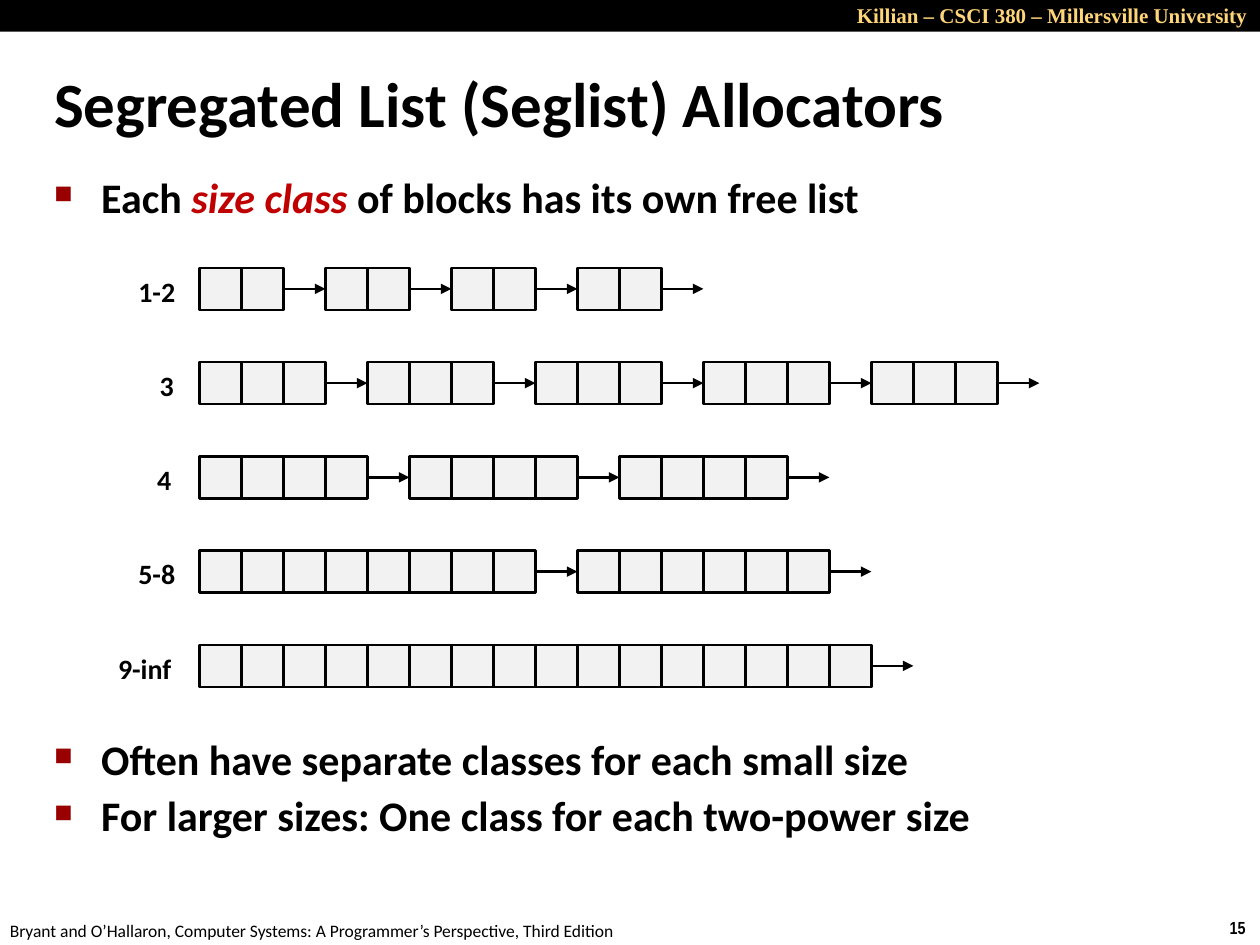
import pptx
import pptx.dml.color
import pptx.enum.shapes
import pptx.enum.text
import pptx.oxml
import pptx.oxml.ns
import pptx.util

Cm = pptx.util.Cm
Pt = pptx.util.Pt
RGBColor = pptx.dml.color.RGBColor
ALIGN = pptx.enum.text.PP_ALIGN
ANCHOR = pptx.enum.text.MSO_ANCHOR

BLACK = RGBColor(0x00, 0x00, 0x00)
GOLD = RGBColor(0xFF, 0xD5, 0x79)
RED = RGBColor(0xC0, 0x00, 0x00)
DARK_RED = RGBColor(0x99, 0x00, 0x00)
LIGHT_GRAY = RGBColor(0xF2, 0xF2, 0xF2)

CELL = Cm(2.54) // 3
LIST_LEFT = Cm(4.02)
LIST_TOP = Cm(5.4)
ROW_PITCH = Cm(1.9)

# Size class, label left and width in cm, cells in each free block
SIZE_CLASSES = [
    ("1-2", 2.54, 1.27, [2] * 4),
    ("3", 2.97, 0.81, [3] * 5),
    ("4", 2.92, 0.81, [4] * 3),
    ("5-8", 2.54, 1.27, [8, 6]),
    ("9-inf", 2.13, 1.6, [16]),
]


def add_xml(parent, tag, attributes=""):
    ns = pptx.oxml.ns.nsdecls("a")
    parent.append(pptx.oxml.parse_xml(f"<a:{tag} {ns} {attributes}/>"))


def format_run(r, size, font="Calibri", color=BLACK, bold=True):
    r.font.size = Pt(size)
    r.font.name = font
    r.font.color.rgb = color
    r.font.bold = bold


def add_text(s, left, top, width, height, text, size, wrap=False,
             align=ALIGN.LEFT, anchor=ANCHOR.TOP, **style):
    sp = s.shapes.add_textbox(left, top, width, height)
    tf = sp.text_frame
    tf.word_wrap = wrap
    tf.vertical_anchor = anchor
    tf.text = text
    p = tf.paragraphs[0]
    p.alignment = align
    format_run(p.runs[0], size, **style)
    return p


def add_rect(s, left, top, width, height, fill):
    sp = s.shapes.add_shape(pptx.enum.shapes.MSO_SHAPE.RECTANGLE,
                            left, top, width, height)
    sp.shadow.inherit = False
    sp.fill.solid()
    sp.fill.fore_color.rgb = fill
    sp.line.color.rgb = BLACK
    sp.line.width = Pt(1.5)
    return sp


def add_arrow(s, start, end=None):
    y = start.top + CELL // 2
    x = start.left + CELL
    arrow = s.shapes.add_connector(
        pptx.enum.shapes.MSO_CONNECTOR.STRAIGHT, x, y, x + CELL, y)
    arrow.begin_connect(start, 3)
    if end is not None:
        arrow.end_connect(end, 1)
    arrow.line.color.rgb = BLACK
    arrow.line.width = Pt(1.5)
    add_xml(arrow.line._get_or_add_ln(), "tailEnd", 'type="triangle"')
    add_xml(arrow._element.spPr, "effectLst")


def add_bullets(s):
    sp = s.shapes.add_textbox(Cm(0.84), Cm(3.4), Cm(23.1), Cm(14.6))
    tf = sp.text_frame
    tf.word_wrap = True
    # The second bullet leaves room for the diagram of free lists
    bullets = [
        (["Each ", "size class ", "of blocks has its own free list"], 4.8),
        (["Often have separate classes for each small size"], 294),
        (["For larger sizes: One class for each two-power size"], 4.8),
    ]
    for i, (texts, space) in enumerate(bullets):
        p = tf.add_paragraph() if i else tf.paragraphs[0]
        p.line_spacing = 0.95
        p.space_before = Pt(space)
        for text in texts:
            r = p.add_run()
            r.text = text
            format_run(r, 24)
        pPr = p._p.get_or_add_pPr()
        pPr.set("marL", str(Cm(0.95)))
        pPr.set("indent", str(-Cm(0.95)))
        add_xml(pPr, "buClr")
        add_xml(pPr[-1], "srgbClr", f'val="{DARK_RED}"')
        add_xml(pPr, "buSzPct", 'val="60000"')
        add_xml(pPr, "buChar", 'char="■"')
    term = tf.paragraphs[0].runs[1]
    term.font.color.rgb = RED
    term.font.italic = True


def add_free_list(s, top, blocks):
    left = LIST_LEFT
    last = None
    for count in blocks:
        cells = [add_rect(s, left + i * CELL, top, CELL, CELL, LIGHT_GRAY)
                 for i in range(count)]
        if last is not None:
            add_arrow(s, last, cells[0])
        last = cells[-1]
        left += (count + 1) * CELL
    add_arrow(s, last)


def main():
    prs = pptx.Presentation()
    prs.slide_width = Cm(25.4)
    prs.slide_height = Cm(19.05)
    s = prs.slides.add_slide(prs.slide_layouts[6])

    # Header band and footer
    band = add_rect(s, 0, 0, prs.slide_width, Cm(0.64), BLACK)
    band.line.fill.background()
    add_text(s, Cm(13.97), Cm(-0.08), Cm(11.43), Cm(0.76),
             "Killian – CSCI 380 – Millersville University", 12, wrap=True,
             align=ALIGN.RIGHT, font="Times New Roman", color=GOLD)
    add_text(s, Cm(24.54), Cm(18.36), Cm(0.86), Cm(0.69), "15", 10,
             font="Arial Narrow")
    add_text(s, Cm(-0.05), Cm(18.42), Cm(12.9), Cm(0.69),
             "Bryant and O’Hallaron, Computer Systems: "
             "A Programmer’s Perspective, Third Edition", 10, bold=False)

    # Title and bullets
    title = add_text(s, Cm(0.84), Cm(1.37), Cm(22.86), Cm(1.6),
                     "Segregated List (Seglist) Allocators", 36, wrap=True,
                     anchor=ANCHOR.MIDDLE)
    title.line_spacing = 0.87
    add_bullets(s)

    # One free list for each size class
    for row, (label, left, width, blocks) in enumerate(SIZE_CLASSES):
        top = LIST_TOP + row * ROW_PITCH
        add_text(s, Cm(left), top, Cm(width), Cm(0.94), label, 16)
        add_free_list(s, top, blocks)

    prs.save("out.pptx")


if __name__ == "__main__":
    main()
